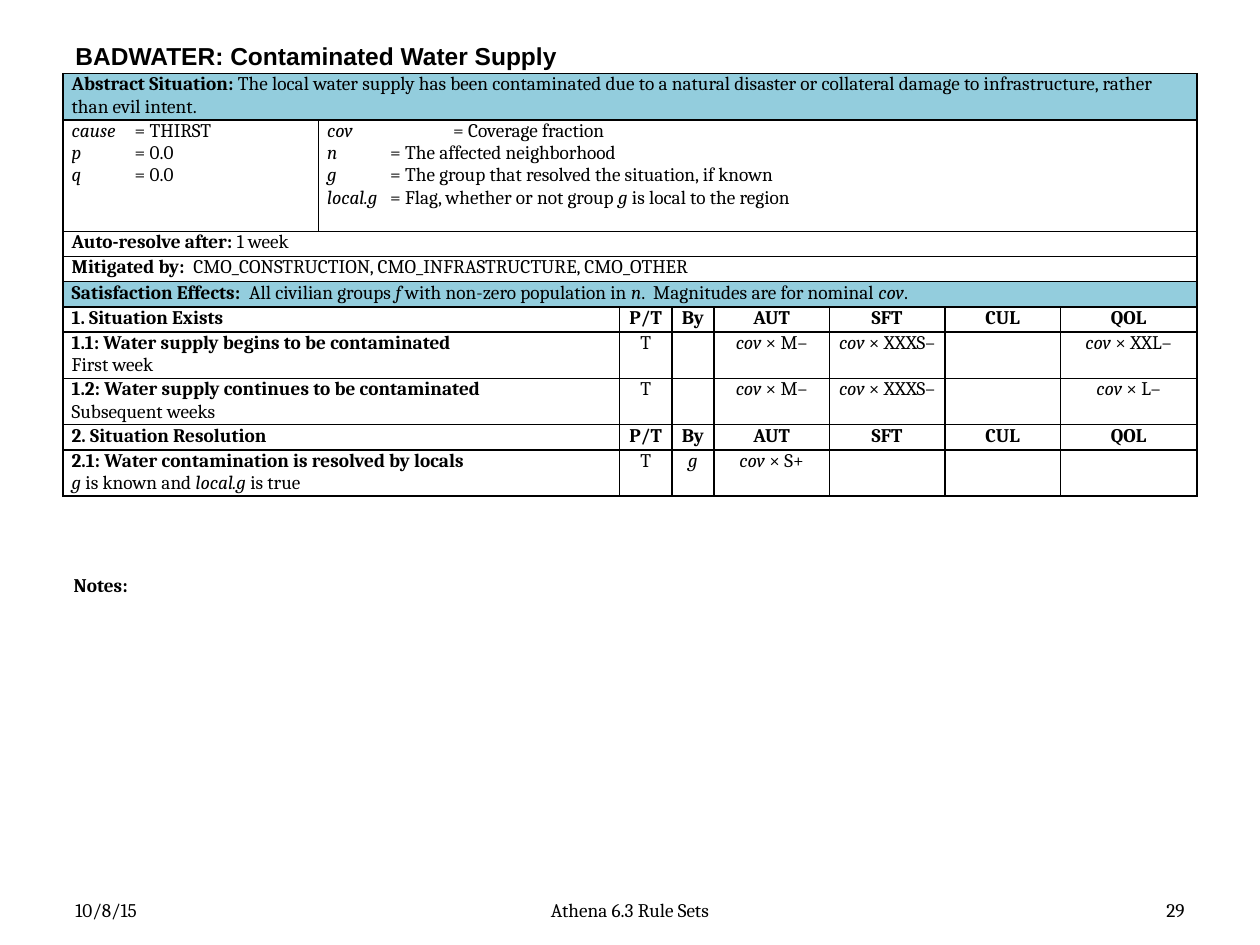
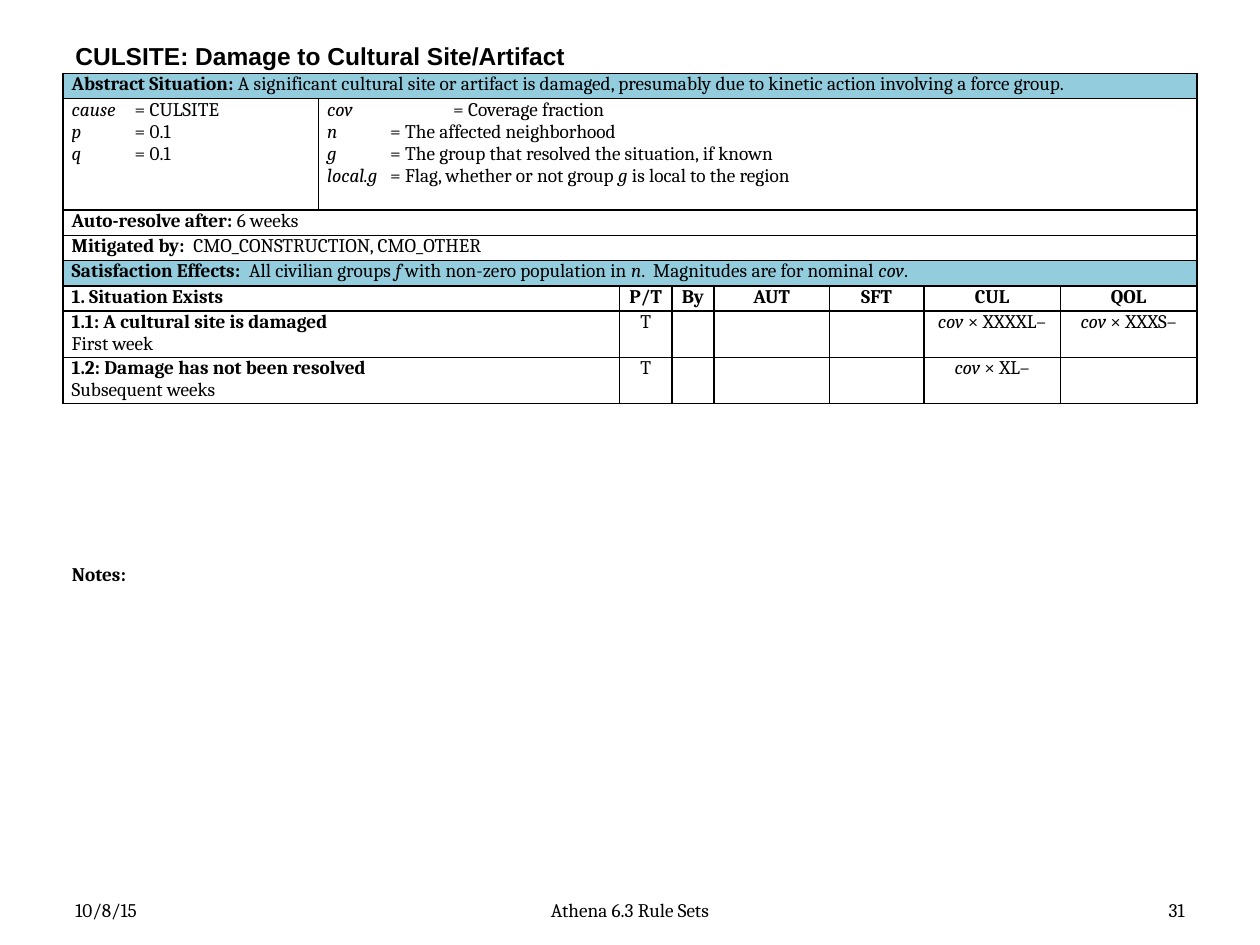
from lxml import etree
from pptx import Presentation
from pptx.dml.color import RGBColor
from pptx.enum.text import MSO_ANCHOR, PP_ALIGN
from pptx.oxml.ns import qn
from pptx.util import Pt

LEFT, MID, RIGHT = PP_ALIGN.LEFT, PP_ALIGN.CENTER, PP_ALIGN.RIGHT
TOP, CENTER = MSO_ANCHOR.TOP, MSO_ANCHOR.MIDDLE
BLACK, WHITE, BAND = "000000", "FFFFFF", "93CDDD"
SERIF, SANS = "Cambria", "Arial"
EDGE, WIDE = 36, 648
LINE, ROW, VARS = 12.7, 14.4, 63.7

HEADS = ["P/T", "By", "AUT", "SFT", "CUL", "QOL"]
SCOPE = ("*Satisfaction Effects:  *All civilian groups ~f ~with non-zero "
         "population in ~n~.  Magnitudes are for nominal ~cov~.")
TERMS = ("~cov\t~= Coverage fraction\n"
         "~n\t~= The affected neighborhood\n"
         "~g~\t= The group that resolved the situation, if known\n"
         "~local.g\t~= Flag, whether or not group ~g~ is local to the region")

WATER = {
    "title": "BADWATER: Contaminated Water Supply",
    "page": "29",
    "about": "The local water supply has been contaminated due to a natural disaster "
             "or collateral damage to infrastructure, rather than evil intent.",
    "lines": 2,
    "cause": ("THIRST", "0.0", "0.0"),
    "after": "1 week",
    "fixes": "CMO_CONSTRUCTION, CMO_INFRASTRUCTURE, CMO_OTHER",
    "cols": [146, 172, 30, 24, 66, 66, 66, 78],
    "notes": (35, 324),
    "rules": [
        ["*1. Situation Exists*"],
        ["*1.1: Water supply begins to be contaminated*\nFirst week",
         "T", "", "~cov~ × M–", "~cov~ × XXXS–", "", "~cov~ × XXL–"],
        ["*1.2: Water supply continues to be contaminated*\nSubsequent weeks",
         "T", "", "~cov~ × M–", "~cov~ × XXXS–", "", "~cov~ × L–"],
        ["*2. Situation Resolution*"],
        ["*2.1: Water contamination is resolved by locals*\n"
         "~g~ is known and ~local.g~ is true",
         "T", "~g~", "~cov~ × S+", "", "", ""],
    ],
}
SITE = {
    "title": "CULSITE: Damage to Cultural Site/Artifact",
    "page": "31",
    "about": "A significant cultural site or artifact is damaged, presumably due to "
             "kinetic action involving a force group.",
    "lines": 1,
    "cause": ("CULSITE", "0.1", "0.1"),
    "after": "6 weeks",
    "fixes": "CMO_CONSTRUCTION, CMO_OTHER",
    "cols": [146, 172, 30, 24, 66, 54, 78, 78],
    "notes": (34, 318),
    "rules": [
        ["*1. Situation Exists*"],
        ["*1.1: A cultural site is damaged*\nFirst week",
         "T", "", "", "", "~cov~ × XXXXL–", "~cov~ × XXXS–"],
        ["*1.2: Damage has not been resolved*\nSubsequent weeks",
         "T", "", "", "", "~cov~ × XL–", ""],
    ],
}


def tint(code):
    """Turn a hex string into a colour."""
    return RGBColor.from_string(code)


def write(frame, text, align=LEFT, size=11, face=SERIF):
    """Fill a frame from text where *stars* mean bold and ~tildes~ italic."""
    for i, line in enumerate(text.split("\n")):
        para = frame.add_paragraph() if i else frame.paragraphs[0]
        para.alignment = align
        for b, chunk in enumerate(line.split("*")):
            for t, piece in enumerate(chunk.split("~")):
                if piece:
                    run = para.add_run()
                    run.text = piece
                    font = run.font
                    font.name, font.size = face, Pt(size)
                    font.bold, font.italic = b % 2 == 1, t % 2 == 1
                    font.color.rgb = tint(BLACK)


def label(slide, box, text, align=LEFT, anchor=CENTER, **style):
    """Add a text box."""
    frame = slide.shapes.add_textbox(*map(Pt, box)).text_frame
    frame.word_wrap = True
    frame.vertical_anchor = anchor
    write(frame, text, align, **style)


def stops(cell, places):
    """Give each paragraph of a cell its tab stop."""
    for para, place in zip(cell.text_frame.paragraphs, places):
        tabs = etree.SubElement(para._p.get_or_add_pPr(), qn("a:tabLst"))
        etree.SubElement(tabs, qn("a:tab"), pos=str(Pt(place)), algn="l")


def dress(cell, fill):
    """Set the margins, borders and fill of a cell."""
    cell.margin_left = cell.margin_right = Pt(5)
    cell.margin_top = cell.margin_bottom = 0
    props = cell._tc.get_or_add_tcPr()
    for side in "LRTB":
        line = etree.SubElement(props, qn(f"a:ln{side}"), w=str(Pt(1)))
        solid = etree.SubElement(line, qn("a:solidFill"))
        etree.SubElement(solid, qn("a:srgbClr"), val=BLACK)
    cell.fill.solid()
    cell.fill.fore_color.rgb = tint(fill)


def rule_grid(slide, left, top, data):
    """Draw the table of one rule set."""
    rules = data["rules"]
    high = [max(ROW, LINE * data["lines"]), VARS, ROW, ROW, ROW]
    high += [max(ROW, LINE * (1 + rule[0].count("\n"))) for rule in rules]
    cols = data["cols"]
    grid = slide.shapes.add_table(len(high), len(cols), Pt(left), Pt(top),
                                  Pt(sum(cols)), Pt(sum(high))).table
    grid.first_row = grid.horz_banding = False
    for col, wide in zip(grid.columns, cols):
        col.width = Pt(wide)
    for r, tall in enumerate(high):
        grid.rows[r].height = Pt(tall)
        for c in range(len(cols)):
            dress(grid.cell(r, c), BAND if r in (0, 4) else WHITE)

    full = {0: f"*Abstract Situation:* {data['about']}",
            2: f"*Auto-resolve after:* {data['after']}",
            3: f"*Mitigated by:*  {data['fixes']}",
            4: SCOPE}
    for r, text in full.items():
        grid.cell(r, 0).merge(grid.cell(r, 7))
        write(grid.cell(r, 0).text_frame, text)

    cause, terms = grid.cell(1, 0), grid.cell(1, 1)
    terms.merge(grid.cell(1, 7))
    write(cause.text_frame, "\n".join(
        f"~{name}~\t= {value}" for name, value in zip(("cause", "p", "q"), data["cause"])))
    write(terms.text_frame, TERMS)
    stops(cause, [36] * 3)
    stops(terms, [72, 36, 36, 36])

    for r, (name, *marks) in enumerate(rules, 5):
        grid.cell(r, 0).merge(grid.cell(r, 1))
        write(grid.cell(r, 0).text_frame, name)
        for c, mark in enumerate(marks or [f"*{head}*" for head in HEADS], 2):
            write(grid.cell(r, c).text_frame, mark, MID)


def footer(slide, left, top, page):
    """Place the date, the name and the page number."""
    for x, wide, text, align in ((0, 168, "10/8/15", LEFT),
                                 (210, 228, "Athena 6.3 Rule Sets", MID),
                                 (480, 168, page, RIGHT)):
        label(slide, (left + x, top, wide, 19.5), text, align)


def rule_slide(deck, data):
    """Build one rule set slide."""
    slide = deck.slides.add_slide(deck.slide_layouts[6])
    label(slide, (EDGE, 21.6, WIDE, 20.4), f"*{data['title']}*", size=14, face=SANS)
    rule_grid(slide, EDGE, 42, data)
    label(slide, (*data["notes"], 654, 21), "*Notes:*", anchor=TOP)
    footer(slide, EDGE, 510, data["page"])


def main():
    """Build and save the deck."""
    deck = Presentation()
    deck.slide_width, deck.slide_height = Pt(720), Pt(540)
    for data in (WATER, SITE):
        rule_slide(deck, data)
    deck.save("out.pptx")


if __name__ == "__main__":
    main()
